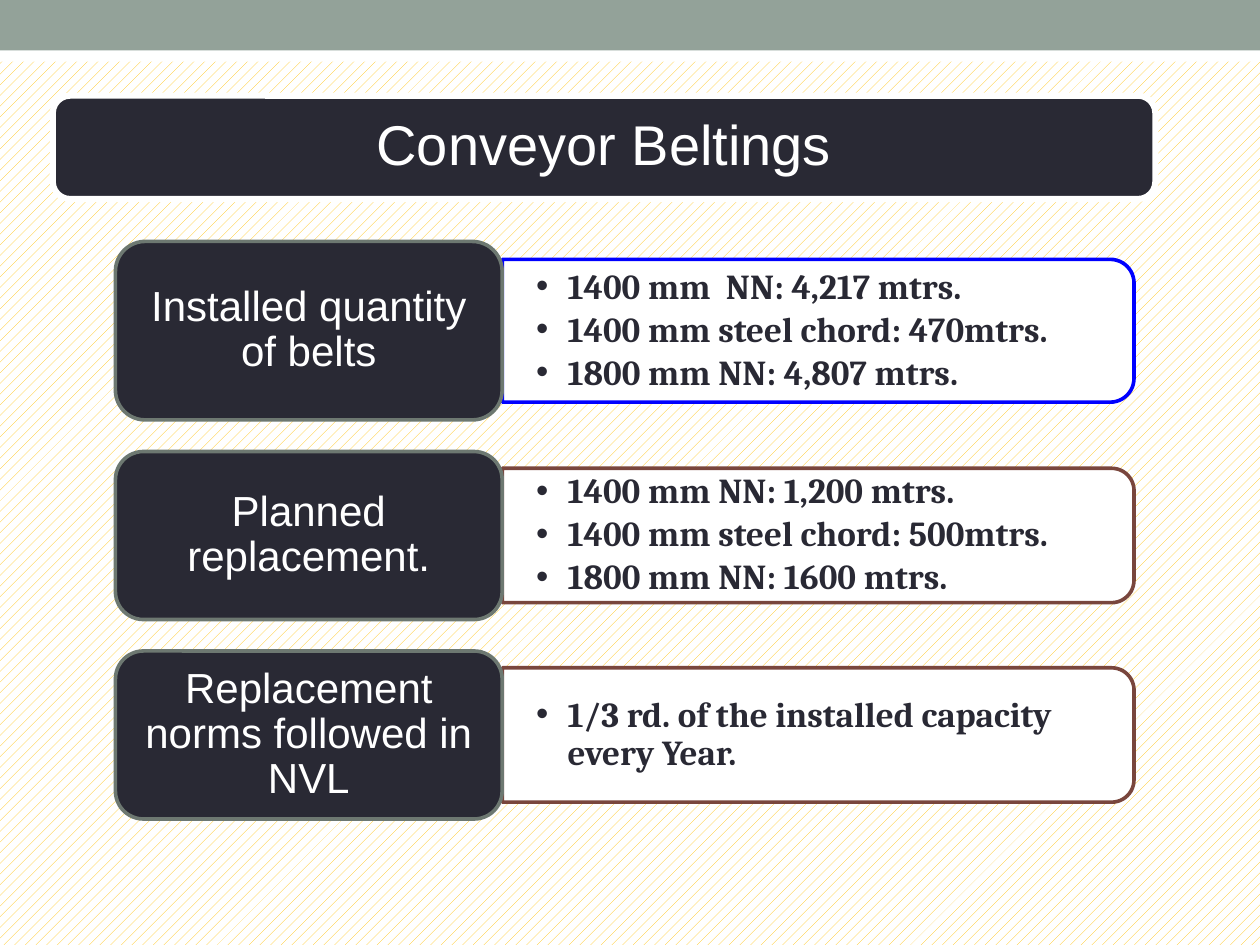
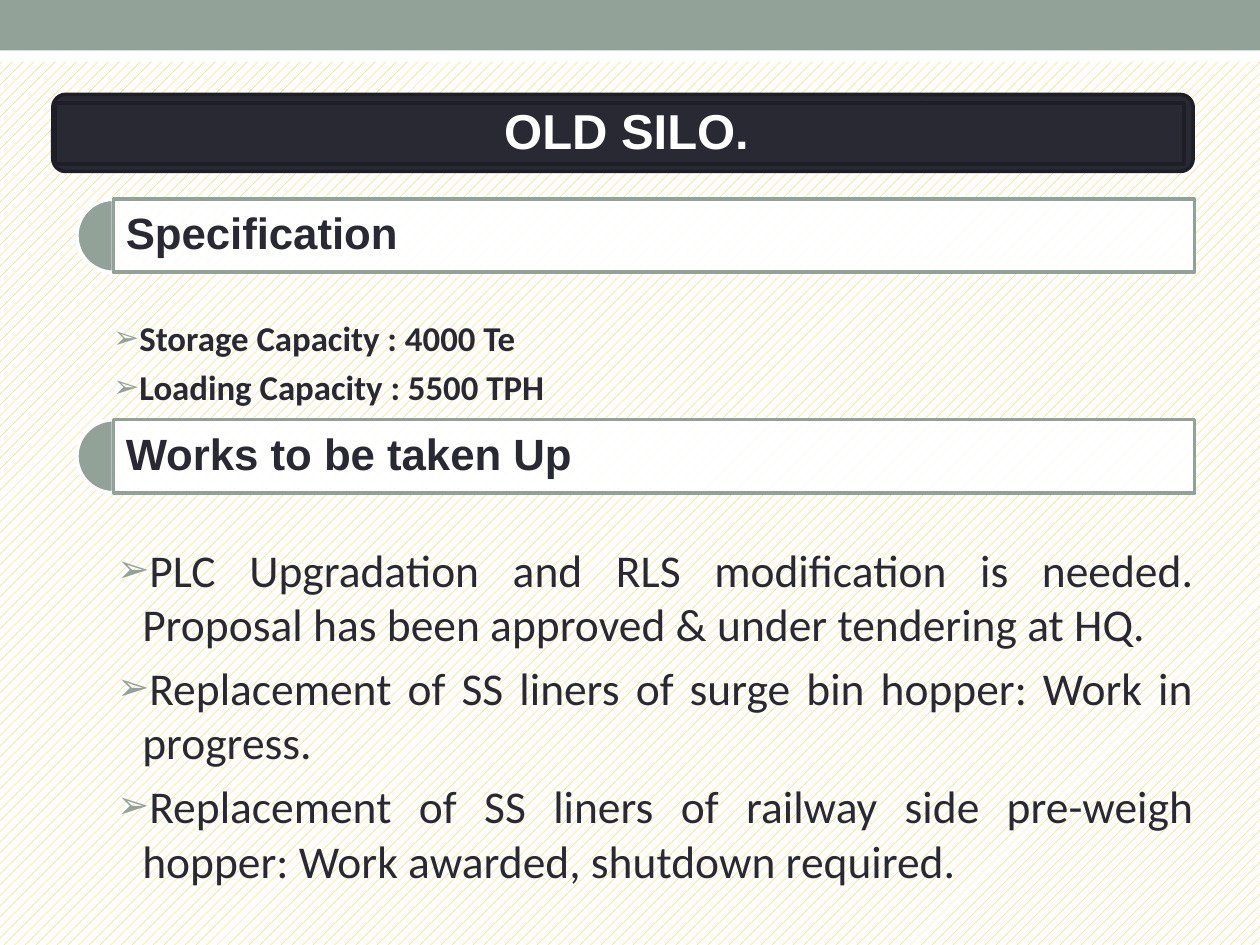
"""Build two slides on conveyor belts and the old silo."""
from lxml import etree
from pptx import Presentation, util as u
from pptx.dml.color import RGBColor
from pptx.enum import dml, shapes, text
from pptx.oxml import ns

Pt = u.Pt
Kind = shapes.MSO_SHAPE
Side = text.PP_ALIGN


class Theme:
    """Hold colours, fonts and type sizes."""
    ink, white, sage, gold = "292934", "FFFFFF", "93A299", "FFC000"
    edge, moss, blue, rust = "1E1E26", "6D7871", "0000FF", "79463D"
    sans, serif, body = "Arial", "Cambria", "Calibri"
    head, title, band, label, item, fact, work = 32, 28, 25, 24, 20, 19.9, 26
    line = 2.08


def rgb(code):
    """Turn a hex code into a colour."""
    return RGBColor.from_string(code)


def put(item, vals):
    """Set attributes from a dict."""
    for key, val in vals.items():
        setattr(item, key, val)


def sub(node, tag, **vals):
    """Add a drawing child element."""
    return etree.SubElement(node, ns.qn("a:" + tag), vals)


class Deck:
    """Draw styled elements on the current slide."""

    def __init__(self, theme):
        """Start an empty deck."""
        self.t = theme
        self.prs = Presentation()
        put(self.prs, {"slide_width": Pt(720), "slide_height": Pt(540)})

    def page(self):
        """Add a slide with its pattern and top bands."""
        t = self.t
        self.cur = self.prs.slides.add_slide(self.prs.slide_layouts[6])
        fill = self.cur.background.fill
        fill.patterned()
        fill.pattern = dml.MSO_PATTERN.PERCENT_20
        fill.fore_color.rgb, fill.back_color.rgb = rgb(t.gold), rgb(t.white)
        self.shape(Kind.RECTANGLE, (0, 17.3, 720, 18), t.white)
        self.shape(Kind.RECTANGLE, (0, 0, 720, 28.8), t.sage)

    def shape(self, kind, box, fill, line=None, wide=Theme.line, alpha=None):
        """Add a flat preset shape."""
        shp = self.cur.shapes.add_shape(kind, *map(Pt, box))
        shp.shadow.inherit = False
        shp.fill.solid()
        shp.fill.fore_color.rgb = rgb(fill)
        if alpha:
            clr = shp._element.spPr.find(".//" + ns.qn("a:srgbClr"))
            sub(clr, "alpha", val=str(alpha * 1000))
        if line:
            shp.line.color.rgb = rgb(line)
            shp.line.width = Pt(wide)
        else:
            shp.line.fill.background()
        return shp

    def words(self, shp, lines, font, pads=(7.2, 3.6), mid=True, para=None, mark=None):
        """Fill a shape with paragraphs of one style."""
        frame = shp.text_frame
        side, top = map(Pt, pads)
        put(frame, {"word_wrap": True, "margin_left": side, "margin_right": side,
                    "margin_top": top, "margin_bottom": Pt(min(pads[1], 10)),
                    "vertical_anchor": text.MSO_ANCHOR.MIDDLE if mid else text.MSO_ANCHOR.TOP})
        name, size, hue, bold = font
        for num, line in enumerate(lines):
            par = frame.add_paragraph() if num else frame.paragraphs[0]
            put(par, {"alignment": Side.LEFT, **(para or {})})
            run = par.add_run()
            run.text = line
            put(run.font, {"name": name, "size": Pt(size), "bold": bold})
            run.font.color.rgb = rgb(hue)
            if mark:
                self.bullet(par, *mark)

    def bullet(self, par, char, left, hang, hue, pct):
        """Give a paragraph a hanging bullet."""
        prop = par._p.get_or_add_pPr()
        for key, val in {"marL": Pt(left), "indent": -Pt(hang)}.items():
            prop.set(key, str(int(val)))
        sub(sub(prop, "buClr"), "srgbClr", val=hue)
        sub(prop, "buSzPct", val=str(pct * 1000))
        sub(prop, "buFont", typeface=self.t.sans)
        sub(prop, "buChar", char=char)

    def note(self, box, lines, font, **opts):
        """Add a text box."""
        self.words(self.cur.shapes.add_textbox(*map(Pt, box)), lines, font, **opts)

    def head(self, name):
        """Add the rounded title bar."""
        t = self.t
        bar = self.shape(Kind.ROUNDED_RECTANGLE, (30.2, 54.7, 630, 59), t.ink, t.white, 3.5)
        self.words(bar, [name], (t.sans, t.head, t.white, False), (9.4, 9.4),
                   para={"alignment": Side.CENTER, "line_spacing": 0.9})

    def plate(self, name):
        """Add the double-framed title bar."""
        t = self.t
        self.shape(Kind.ROUNDED_RECTANGLE, (30.2, 54, 651.6, 44), t.ink, t.edge)
        bar = self.shape(Kind.RECTANGLE, (31.7, 59, 645, 34.6), t.ink, t.edge)
        self.words(bar, [name], (t.sans, t.title, t.white, True), (8.6, 4.3),
                   para={"alignment": Side.CENTER, "line_spacing": 0.9})

    def card(self, top, high, name, lines, hue):
        """Add a dark label with a panel of bullets."""
        t = self.t
        left, wide, span = 66, 221, 361
        edge, tall = left + wide, high * 0.8
        mid = top + high / 2
        box = (edge + (span - tall) / 2, mid - span / 2, tall, span)
        panel = self.shape(Kind.ROUND_2_SAME_RECTANGLE, box, t.white, hue)
        panel.rotation = 90
        self.note((edge, mid - tall * 0.45, span - 4, tall * 0.9), lines,
                  (t.serif, t.item, t.ink, True), pads=(19.4, 10),
                  para={"line_spacing": 0.9, "space_after": Pt(3)},
                  mark=("•", 18, 18, t.ink, 100))
        tag = self.shape(Kind.ROUNDED_RECTANGLE, (left, top, wide, high), t.ink, t.moss)
        self.words(tag, [name], (t.sans, t.label, t.white, False),
                   para={"alignment": Side.CENTER, "line_spacing": 0.9})

    def band(self, top, name):
        """Add a section band with a half disc."""
        t = self.t
        high = 41.8
        disc = self.shape(Kind.PIE, (43.9, top, high, high), t.sage, t.white)
        disc.adjustments[0], disc.adjustments[1] = 54, 162
        bar = self.shape(Kind.RECTANGLE, (64.8, top, 617.8, high), t.white, t.sage, alpha=90)
        self.words(bar, [name], (t.sans, t.band, t.ink, True), (7.2, 7.2),
                   para={"line_spacing": 0.9})


T = Theme
deck = Deck(T)

deck.page()
deck.head("Conveyor Beltings")
CARDS = [
    (102, "Installed quantity of belts", T.blue,
     ["1400 mm  NN: 4,217 mtrs.", "1400 mm steel chord: 470mtrs.", "1800 mm NN: 4,807 mtrs."]),
    (96, "Planned replacement.", T.rust,
     ["1400 mm NN: 1,200 mtrs.", "1400 mm steel chord: 500mtrs.", "1800 mm NN: 1600 mtrs."]),
    (96, "Replacement norms followed in NVL", T.rust,
     ["1/3 rd. of the installed capacity every Year."]),
]
top = 138
for high, name, hue, lines in CARDS:
    deck.card(top, high, name, lines, hue)
    top += high + 18

deck.page()
deck.plate(" OLD SILO.")
deck.band(239.8, "Works to be taken Up")
deck.note((36, 162, 648, 66), ["Storage Capacity : 4000 Te", "Loading Capacity : 5500 TPH"],
          (T.body, T.fact, T.ink, True), pads=(7.2, 19), mid=False,
          para={"space_before": Pt(4)}, mark=("➢", 36, 14.4, T.sage, 90))
deck.note((59.8, 306, 630, 192),
          ["PLC Upgradation and RLS modification is needed. "
           "Proposal has been approved & under tendering at HQ.",
           "Replacement of SS liners of surge bin hopper: Work in progress.",
           "Replacement of SS liners of railway side pre-weigh hopper: "
           "Work awarded, shutdown required."],
          (T.body, T.work, T.ink, False), mid=False,
          para={"alignment": Side.JUSTIFY, "space_before": Pt(5.2)},
          mark=("➢", 14.4, 14.4, T.sage, 85))
deck.band(113.8, "Specification")

deck.prs.save("out.pptx")
